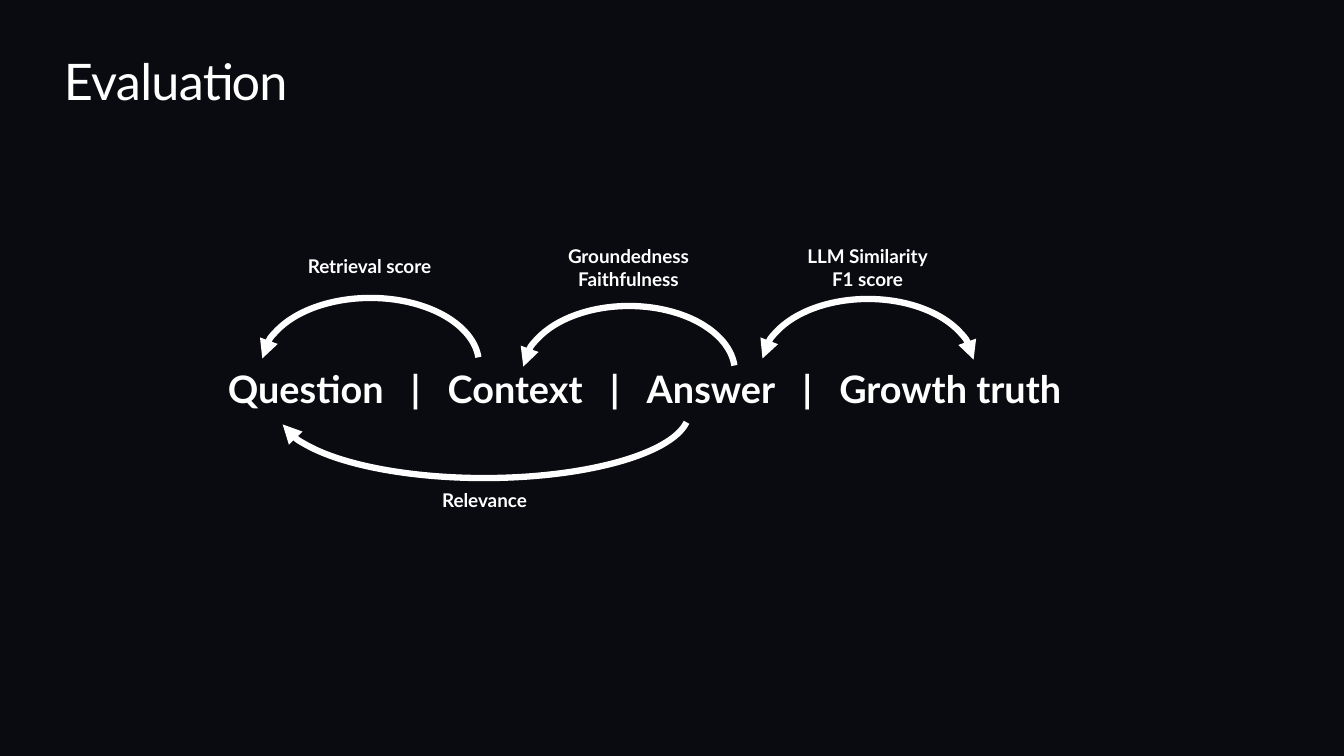
from pptx import Presentation
from pptx.dml.color import RGBColor
from pptx.enum.shapes import MSO_SHAPE as Shape
from pptx.enum.text import MSO_ANCHOR as Anchor, PP_ALIGN as Align
from pptx.oxml.ns import qn
from pptx.util import Pt
from lxml import etree

SCALE = 12192000 / 1344


def px(length):
    """Turn px into EMU."""
    return round(length * SCALE)


def color(value):
    """Turn a hex string into a colour."""
    return RGBColor.from_string(value)


class Deck:
    """Hold the style and the current slide."""

    font = "Lato"
    ink = "FFFFFF"
    background = "0A0B10"

    def __init__(self):
        """Open a presentation with one blank dark slide."""
        self.presentation = Presentation()
        self.presentation.slide_width = px(1344)
        self.presentation.slide_height = px(756)
        self.slide = self.presentation.slides.add_slide(self.presentation.slide_layouts[6])
        fill = self.slide.background.fill
        fill.solid()
        fill.fore_color.rgb = color(self.background)

    def text(self, box, text, size=13.5, bold=True, align=Align.CENTER, inset=True,
             spacing=0, gap=0):
        """Add a text box; gap widens the spaces around each bar."""
        frame = self.slide.shapes.add_textbox(*map(px, box)).text_frame
        frame.word_wrap = True
        frame.vertical_anchor = Anchor.TOP
        if not inset:
            frame.margin_left = frame.margin_right = frame.margin_top = frame.margin_bottom = 0
        paragraph = frame.paragraphs[0]
        paragraph.alignment = align
        for row, line in enumerate(text.split("\n")):
            if row:
                paragraph.add_line_break()
            for index, part in enumerate(line.split(" | ")):
                if index:
                    for piece, extra in ((" ", gap), ("|", spacing), (" ", gap)):
                        self.run(paragraph, piece, size, bold, extra)
                self.run(paragraph, part, size, bold, spacing)

    def run(self, paragraph, text, size, bold, spacing):
        """Add a run with letter spacing in points."""
        run = paragraph.add_run()
        run.text = text
        font = run.font
        font.name, font.size, font.bold = self.font, Pt(size), bold
        font.color.rgb = color(self.ink)
        if spacing:
            run._r.get_or_add_rPr().set("spc", str(round(spacing * 100)))

    def arc(self, box, ends, rotation=0, flip=False):
        """Add a half-ellipse with arrowheads at the named ends."""
        shape = self.slide.shapes.add_shape(Shape.ARC, *map(px, box))
        shape.shadow.inherit = False
        shape.adjustments[0], shape.adjustments[1] = 109.74, 213.89
        shape.rotation = rotation
        if flip:
            shape._element.spPr.find(qn("a:xfrm")).set("flipH", "1")
        shape.fill.background()
        shape.line.color.rgb = color(self.ink)
        shape.line.width = Pt(4.5)
        line = shape._element.spPr.find(qn("a:ln"))
        for end in ends:
            etree.SubElement(line, qn(f"a:{end}")).set("type", "triangle")


def main():
    """Build the evaluation slide."""
    deck = Deck()
    deck.text((64, 50, 1215, 61), "Evaluation", size=36, bold=False, align=Align.LEFT,
              inset=False, spacing=-0.5)
    deck.text((139, 361, 1011, 70), "Question | Context | Answer | Growth truth",
              size=27, gap=12.8)

    deck.arc((262, 298, 217, 132), ["headEnd"])
    deck.arc((523, 306, 212, 132), ["headEnd"])
    deck.arc((762, 299, 212, 132), ["headEnd", "tailEnd"], flip=True)
    deck.arc((279, 346, 410, 132), ["tailEnd"], rotation=180)

    for left, top, height, label in (
        (291, 250, 33, "Retrieval score"),
        (550, 240, 56, "Groundedness\nFaithfulness"),
        (789, 240, 56, "LLM Similarity\nF1 score"),
        (406, 484, 33, "Relevance"),
    ):
        deck.text((left, top, 157, height), label)

    deck.presentation.save("out.pptx")


if __name__ == "__main__":
    main()
